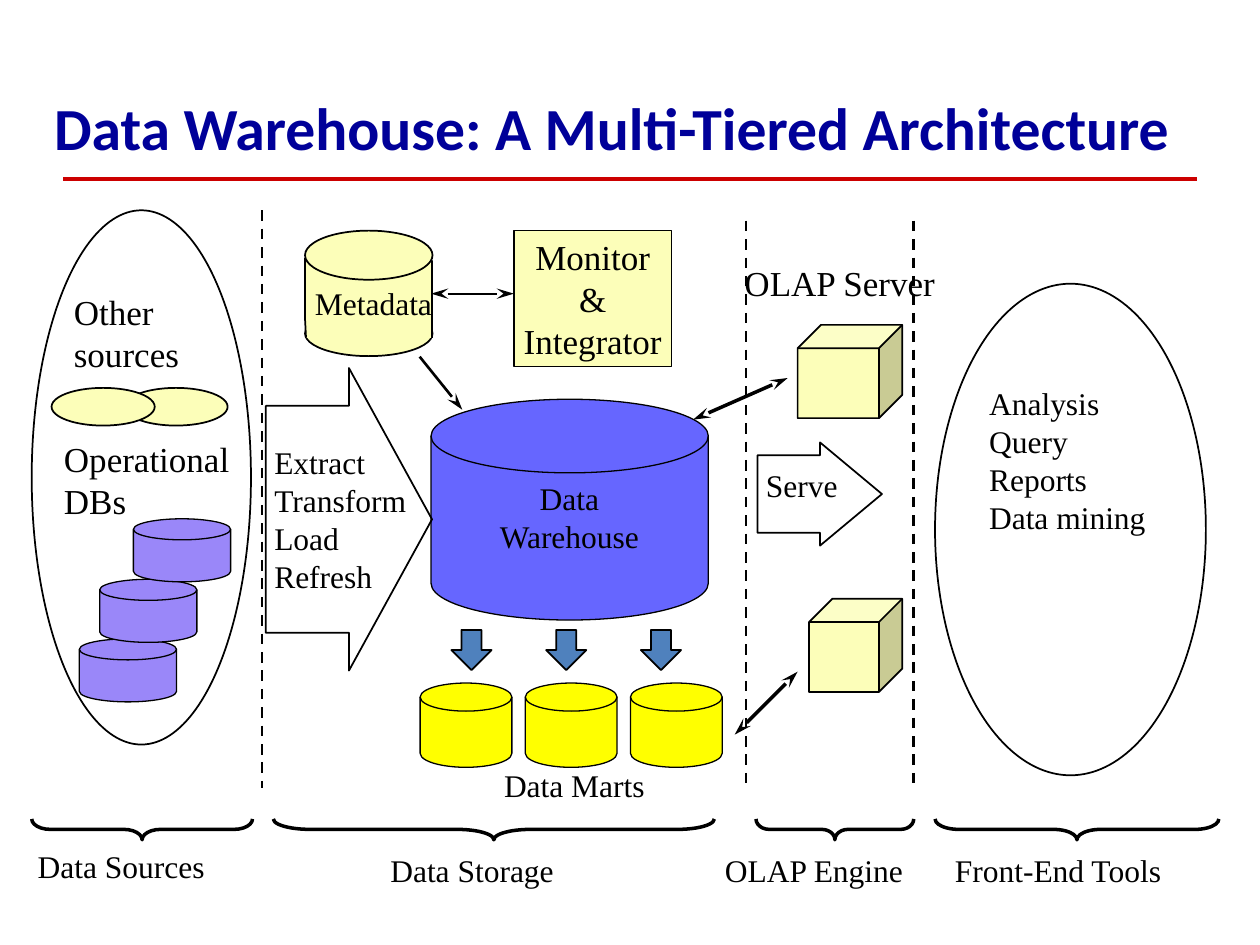
from dataclasses import dataclass
from typing import Optional

from lxml.etree import SubElement
from pptx import Presentation
from pptx.dml.color import RGBColor
from pptx.enum.dml import MSO_LINE
from pptx.enum.shapes import MSO_CONNECTOR, MSO_SHAPE
from pptx.enum.text import MSO_ANCHOR, MSO_AUTO_SIZE, PP_ALIGN
from pptx.oxml.ns import qn
from pptx.util import Cm, Pt

BLACK, CREAM, YELLOW = "000000", "FCFEB9", "FFFF00"
NAVY, RED, BLUE, VIOLET, STEEL = "000099", "CC0000", "6666FF", "9A87F9", "4F81BD"
DISK = MSO_SHAPE.FLOWCHART_MAGNETIC_DISK
FULL_INSET = (0.25, 0.13)
NO_INSET = (0, 0)


@dataclass
class Outline:
    """A preset shape; lengths are in centimetres, line widths in points."""
    kind: MSO_SHAPE
    left: float
    top: float
    width: float
    height: float
    fill: Optional[str] = None
    line_width: float = 1
    adjustments: tuple = ()
    rotation: float = 0


@dataclass
class Label:
    lines: tuple
    left: float
    top: float
    width: float
    height: float
    size: float = 18
    align: PP_ALIGN = PP_ALIGN.LEFT
    inset: tuple = FULL_INSET
    wrap: bool = False


@dataclass
class Line:
    start: tuple
    end: tuple
    width: float = 1
    color: str = BLACK
    dashed: bool = False
    arrows: tuple = ()


def color_of(hex_value: str) -> RGBColor:
    return RGBColor.from_string(hex_value)


def set_attributes(target, values: dict) -> None:
    for name, value in values.items():
        setattr(target, name, value)


def paint(shape, fill: Optional[str], line_width: float) -> None:
    shape.shadow.inherit = False
    if fill:
        shape.fill.solid()
        shape.fill.fore_color.rgb = color_of(fill)
    else:
        shape.fill.background()
    shape.line.color.rgb = color_of(BLACK)
    shape.line.width = Pt(line_width)


def draw_outline(slide, outline: Outline):
    box = (outline.left, outline.top, outline.width, outline.height)
    shape = slide.shapes.add_shape(outline.kind, *map(Cm, box))
    paint(shape, outline.fill, outline.line_width)
    shape.rotation = outline.rotation
    for index, value in enumerate(outline.adjustments):
        shape.adjustments[index] = value
    return shape


def write_lines(frame, lines: tuple, align: PP_ALIGN, font: dict, color: str = BLACK) -> None:
    for index, line in enumerate(lines):
        paragraph = frame.add_paragraph() if index else frame.paragraphs[0]
        paragraph.alignment = align
        run = paragraph.add_run()
        run.text = line
        set_attributes(run.font, font)
        run.font.color.rgb = color_of(color)


def serif(size: float) -> dict:
    return {"name": "Times New Roman", "size": Pt(size)}


def draw_label(slide, label: Label) -> None:
    box = (label.left, label.top, label.width, label.height)
    frame = slide.shapes.add_textbox(*map(Cm, box)).text_frame
    side, end = map(Cm, label.inset)
    set_attributes(frame, {
        "margin_left": side, "margin_right": side, "margin_top": end, "margin_bottom": end,
        "word_wrap": label.wrap, "auto_size": MSO_AUTO_SIZE.SHAPE_TO_FIT_TEXT,
    })
    write_lines(frame, label.lines, label.align, serif(label.size))


def draw_line(slide, line: Line) -> None:
    connector = slide.shapes.add_connector(
        MSO_CONNECTOR.STRAIGHT, *map(Cm, line.start + line.end))
    connector.line.color.rgb = color_of(line.color)
    connector.line.width = Pt(line.width)
    if line.dashed:
        connector.line.dash_style = MSO_LINE.DASH
    properties = connector._element.spPr
    for arrow in line.arrows:
        SubElement(properties.find(qn("a:ln")), qn(f"a:{arrow}"), type="stealth", len="lg")
    SubElement(properties, qn("a:effectLst"))


def draw_title(slide) -> None:
    frame = slide.shapes.add_textbox(Cm(0.84), Cm(1.7), Cm(23.7), Cm(1.7)).text_frame
    set_attributes(frame, {"word_wrap": True, "vertical_anchor": MSO_ANCHOR.MIDDLE})
    font = {"name": "Calibri", "size": Pt(34.1), "bold": True}
    write_lines(frame, ("Data Warehouse: A Multi-Tiered Architecture",), PP_ALIGN.LEFT, font, NAVY)


def draw_metadata_store(slide) -> None:
    draw_outline(slide, Outline(MSO_SHAPE.OVAL, 6.15, 6.27, 2.57, 0.91, CREAM))
    wall = [(6.17, 6.81), (6.15, 6.43), (6.15, 5.21), (8.71, 5.26), (8.71, 6.81)]
    points = [(Cm(x), Cm(y)) for x, y in wall]
    builder = slide.shapes.build_freeform(*points[0])
    builder.add_line_segments(points[1:], close=False)
    paint(builder.convert_to_shape(), CREAM, 1)
    draw_outline(slide, Outline(MSO_SHAPE.OVAL, 6.15, 4.65, 2.57, 0.99, CREAM))


def draw_monitor(slide) -> None:
    shape = draw_outline(slide, Outline(MSO_SHAPE.RECTANGLE, 10.36, 4.65, 3.18, 2.74, CREAM))
    frame = shape.text_frame
    set_attributes(frame, {"word_wrap": False, "vertical_anchor": MSO_ANCHOR.MIDDLE})
    write_lines(frame, ("Monitor", "&", "Integrator"), PP_ALIGN.CENTER, serif(20))


def tier_brace(left: float, length: float) -> Outline:
    """A brace turned to point down, spanning length from left."""
    thickness, top = 0.42, 16.51
    return Outline(
        MSO_SHAPE.RIGHT_BRACE, left + (length - thickness) / 2, top + (thickness - length) / 2,
        thickness, length, line_width=2, adjustments=(length / thickness / 12, 0.5), rotation=90)


BOTH_ENDS = ("headEnd", "tailEnd")
OUTLINES = [
    Outline(DISK, 8.69, 8.05, 5.59, 4.45, BLUE, 0.75),
    Outline(MSO_SHAPE.OVAL, 18.85, 5.72, 5.46, 9.91),
    Outline(MSO_SHAPE.RIGHT_ARROW, 15.27, 8.92, 2.51, 2.08, adjustments=(0.75, 0.6)),
    Outline(MSO_SHAPE.RIGHT_ARROW, 5.36, 7.42, 3.35, 6.1, adjustments=(0.75, 0.5)),
    Outline(MSO_SHAPE.CUBE, 16.08, 6.55, 2.11, 1.88, CREAM),
    Outline(MSO_SHAPE.CUBE, 16.31, 12.07, 1.88, 1.88, CREAM),
    *[Outline(MSO_SHAPE.DOWN_ARROW, 9.1 + 1.91 * i, 12.7, 0.81, 0.81, STEEL) for i in range(3)],
    *[Outline(DISK, 8.47 + 2.12 * i, 13.77, 1.85, 1.7, YELLOW, 0.75) for i in range(3)],
    Outline(MSO_SHAPE.OVAL, 2.51, 7.82, 2.08, 0.76, CREAM),
    Outline(MSO_SHAPE.OVAL, 0.64, 4.24, 4.42, 10.77),
    Outline(MSO_SHAPE.OVAL, 1.04, 7.82, 2.08, 0.76, CREAM),
    *[Outline(DISK, left, top, 1.96, 1.27, VIOLET, 0.75)
      for left, top in ((1.6, 12.88), (2.01, 11.68), (2.69, 10.46))],
    *[tier_brace(left, length)
      for left, length in ((0.64, 4.45), (5.51, 8.89), (15.24, 3.18), (18.85, 5.72))],
]
LINES = [
    Line((8.69, 5.92), (10.36, 5.92), arrows=BOTH_ENDS),
    Line((13.97, 8.46), (15.88, 7.62), 2, arrows=BOTH_ENDS),
    Line((14.81, 14.81), (16.08, 13.54), 2, arrows=BOTH_ENDS),
    Line((8.46, 7.19), (9.32, 8.26), 1.5, arrows=("tailEnd",)),
    *[Line((x, top), (x, 15.88), 1.5, dashed=True)
      for x, top in ((5.28, 4.24), (15.04, 4.45), (18.42, 4.45))],
]
LABELS = [
    Label(("Data", "Warehouse"), 9.32, 9.53, 4.32, 2.29, align=PP_ALIGN.CENTER),
    Label(("Extract", "Transform", "Load", "Refresh"), 5.28, 8.81, 3.2, 3.3),
    Label(("Analysis", "Query", "Reports", "Data mining"), 19.69, 7.62, 4.72, 4.32),
    Label(("Metadata",), 6.35, 5.72, 2.5, 0.76, inset=NO_INSET),
    Label(("Serve",), 15.19, 9.27, 2.44, 1.27),
    Label(("Data Marts",), 10.11, 15.44, 2.94, 0.76, align=PP_ALIGN.CENTER, inset=NO_INSET),
    Label(("Operational", "DBs"), 1.04, 8.69, 4.01, 1.96, 20),
    Label(("Other", "sources"), 1.24, 5.72, 3.05, 1.96, 20, wrap=True),
    Label(("OLAP Server",), 14.81, 5.28, 4.24, 0.84, 20, PP_ALIGN.CENTER, NO_INSET, True),
    Label(("Data Sources",), 0.51, 16.94, 5, 1.27),
    Label(("Data Storage",), 7.87, 17.15, 4.39, 1.02, inset=NO_INSET),
    Label(("OLAP Engine",), 13.77, 17.15, 5.28, 1.02, 18, PP_ALIGN.CENTER, NO_INSET, True),
    Label(("Front-End Tools",), 19.25, 17.15, 5.61, 1.02, inset=NO_INSET),
]


def main() -> None:
    presentation = Presentation()
    set_attributes(presentation, {"slide_width": Cm(25.4), "slide_height": Cm(19.05)})
    slide = presentation.slides.add_slide(presentation.slide_layouts[6])
    draw_line(slide, Line((1.27, 3.61), (24.13, 3.61), 2.75, RED))
    draw_title(slide)
    for outline in OUTLINES:
        draw_outline(slide, outline)
    draw_monitor(slide)
    draw_metadata_store(slide)
    for line in LINES:
        draw_line(slide, line)
    for label in LABELS:
        draw_label(slide, label)
    presentation.save("out.pptx")


if __name__ == "__main__":
    main()
